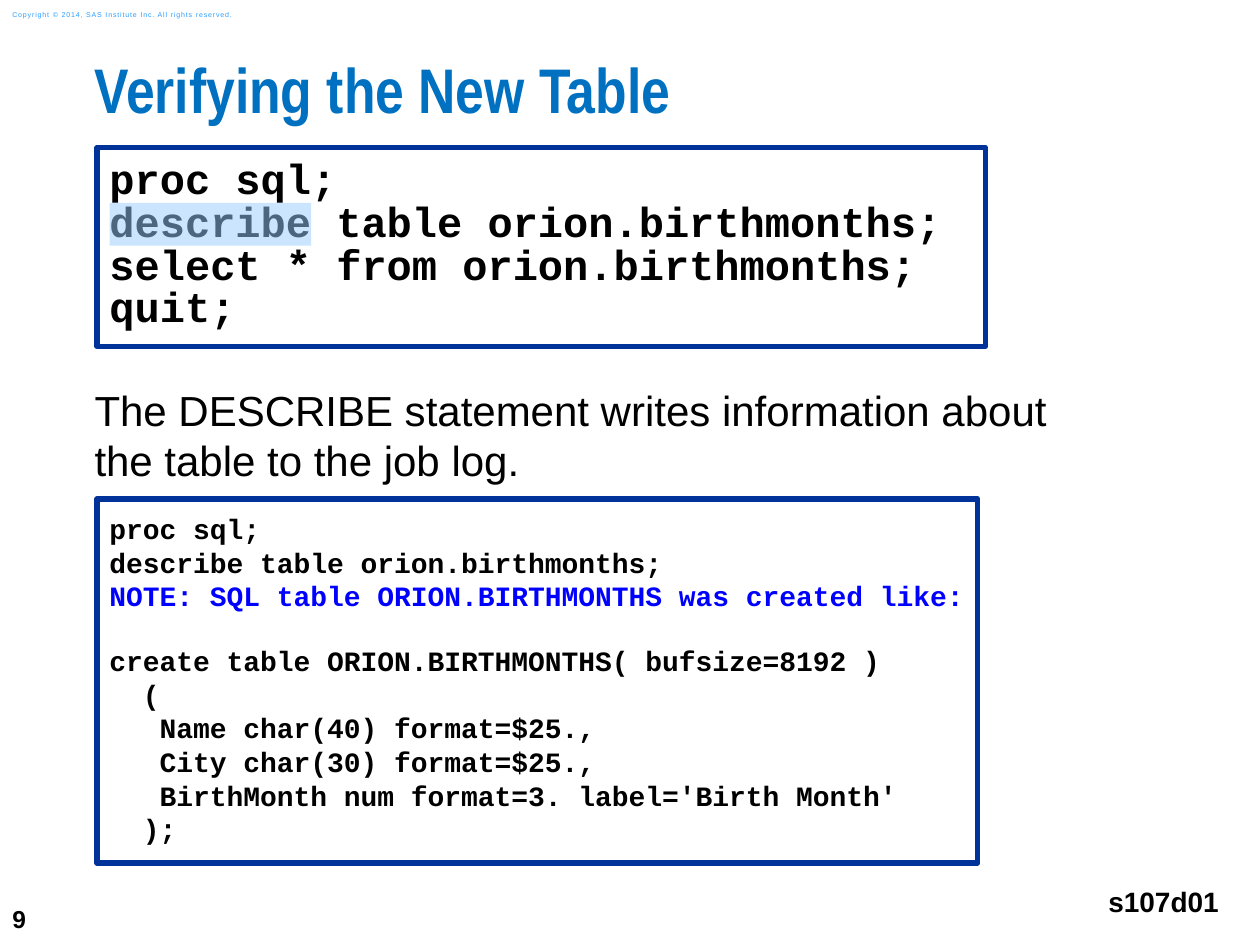
from lxml.etree import SubElement
from pptx import Presentation
from pptx.dml.color import RGBColor
from pptx.enum.shapes import MSO_SHAPE
from pptx.enum.text import MSO_ANCHOR, PP_ALIGN
from pptx.oxml.ns import qn
from pptx.util import Inches, Pt

COLORS = {
    "black": "000000",
    "white": "FFFFFF",
    "title": "0070C0",
    "copyright": "2A9CFF",
    "border": "003399",
    "note": "0000FF",
    "highlight": "99CCFF",
}
COLS, ROWS = 100, 75
LEFT = 7.5
CODE_LEFT = 7.7

QUERY = [
    "proc sql;",
    "describe table orion.birthmonths;",
    "select * from orion.birthmonths;",
    "quit;",
]
LOG_HEAD = [
    "proc sql;",
    "describe table orion.birthmonths;",
    "NOTE: SQL table ORION.BIRTHMONTHS was created like:",
]
LOG_TABLE = [
    "create table ORION.BIRTHMONTHS( bufsize=8192 )",
    "  (",
    "   Name char(40) format=$25.,",
    "   City char(30) format=$25.,",
    "   BirthMonth num format=3. label='Birth Month'",
    "  );",
]


class Deck:
    """Build slides on a grid of 100 columns by 75 rows."""

    def __init__(self):
        self.prs = Presentation()
        self.prs.slide_width, self.prs.slide_height = Inches(10), Inches(7.5)
        self.s = self.prs.slides.add_slide(self.prs.slide_layouts[6])

    def place(self, col, row, cols, rows):
        dx, dy = self.prs.slide_width / COLS, self.prs.slide_height / ROWS
        return [round(v) for v in (col * dx, row * dy, cols * dx, rows * dy)]

    def color(self, name):
        return RGBColor.from_string(COLORS[name])

    def fill_text(self, sp, lines, size, color="black", font="Arial", bold=False,
                  inset=(0, 0, 0, 0), anchor=MSO_ANCHOR.TOP, align=PP_ALIGN.LEFT,
                  spacing=None):
        tf = sp.text_frame
        tf.word_wrap = True
        tf.vertical_anchor = anchor
        tf.margin_left, tf.margin_top, tf.margin_right, tf.margin_bottom = map(Inches, inset)
        tf.text = "\n".join(lines)
        for p in tf.paragraphs:
            p.alignment = align
            p.line_spacing = spacing
            p.font.name, p.font.size, p.font.bold = font, Pt(size), bold
            p.font.color.rgb = self.color(color)
        return tf.paragraphs

    def text(self, box, line, size, **style):
        sp = self.s.shapes.add_textbox(*self.place(*box))
        return self.fill_text(sp, [line], size, **style)[0]

    def rect(self, box, fill):
        sp = self.s.shapes.add_shape(MSO_SHAPE.RECTANGLE, *self.place(*box))
        sp.shadow.inherit = False
        sp.fill.solid()
        sp.fill.fore_color.rgb = self.color(fill)
        sp.line.fill.background()
        return sp

    def code(self, box, lines, size, spacing=None):
        sp = self.rect(box, "white")
        sp.line.color.rgb = self.color("border")
        sp.line.width = Pt(3)
        return self.fill_text(sp, lines, size, font="Courier New", bold=True,
                              inset=(0.1, 0.1, 0, 0.1), spacing=spacing)

    def highlight(self, box):
        sp = self.rect(box, "highlight")
        clr = sp._element.spPr.find(qn("a:solidFill"))[0]
        SubElement(clr, qn("a:alpha")).set("val", "50000")


def main():
    deck = Deck()
    deck.text((0, 70.8, 5.8, 4.2), "9", 14, bold=True,
              inset=(0.1, 0.05, 0.1, 0.05), anchor=MSO_ANCHOR.MIDDLE)
    p = deck.text((0, 0.3, 21.1, 1.7),
                  "Copyright © 2014, SAS Institute Inc. All rights reserved.", 4,
                  color="copyright", inset=(0.1, 0.05, 0.1, 0.05),
                  anchor=MSO_ANCHOR.MIDDLE)
    p.runs[0]._r.get_or_add_rPr().set("spc", "50")
    deck.text((LEFT, 5, 92.5, 7.4), "Verifying the New Table", 36, color="title",
              font="Arial Narrow", bold=True, spacing=0.83)
    deck.text((LEFT, 30.5, 85.8, 8),
              "The DESCRIBE statement writes information about \vthe table to the job log.", 24)
    deck.code((CODE_LEFT, 11.7, 70.5, 15.8), QUERY, 24, spacing=0.85)
    deck.text((86.9, 69.2, 10.8, 4.7), "s107d01", 16, bold=True,
              inset=(0, 0.1, 0.1, 0.1), align=PP_ALIGN.RIGHT)
    log = deck.code((CODE_LEFT, 39.6, 69.9, 28.9), LOG_HEAD + LOG_TABLE, 16)
    log[len(LOG_HEAD) - 1].font.color.rgb = deck.color("note")
    log[len(LOG_HEAD)].space_before = Pt(18)
    deck.highlight((8.7, 16.1, 16, 3.4))
    deck.prs.save("out.pptx")


if __name__ == "__main__":
    main()
